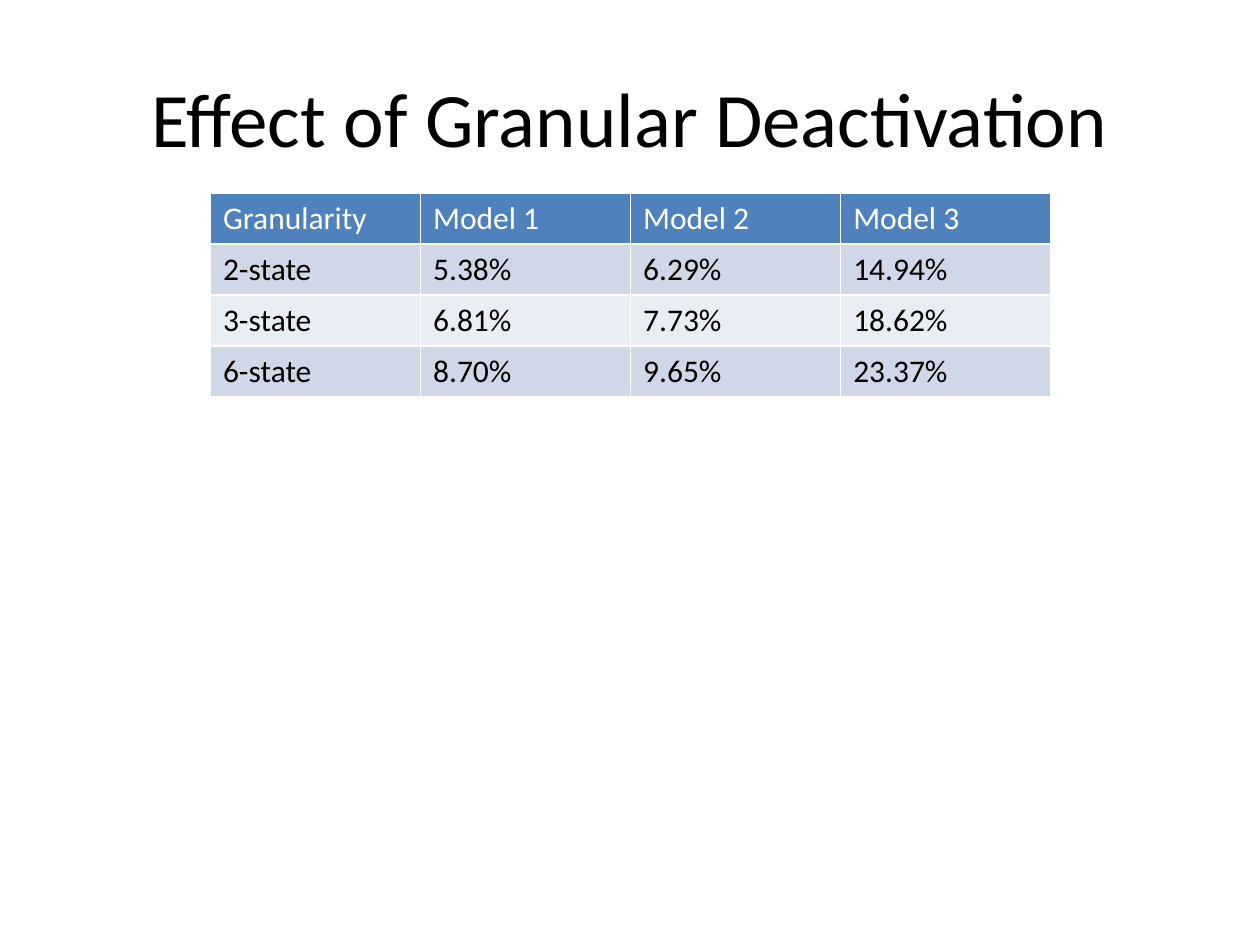
from pptx import Presentation
from pptx.dml.color import RGBColor
from pptx.enum import text
from pptx.util import Inches, Pt

BLACK = RGBColor(0x00, 0x00, 0x00)
WHITE = RGBColor(0xFF, 0xFF, 0xFF)
BLUE = RGBColor(0x4F, 0x81, 0xBD)
BANDS = [RGBColor(0xE9, 0xED, 0xF4), RGBColor(0xD0, 0xD8, 0xE8)]

ROWS = [
    ["Granularity", "Model 1", "Model 2", "Model 3"],
    ["2-state", "5.38%", "6.29%", "14.94%"],
    ["3-state", "6.81%", "7.73%", "18.62%"],
    ["6-state", "8.70%", "9.65%", "23.37%"],
]


def write(tf, content, size=18, color=BLACK, align=text.PP_ALIGN.LEFT):
    p = tf.paragraphs[0]
    p.alignment = align
    r = p.add_run()
    r.text = content
    r.font.name = "Calibri"
    r.font.size = Pt(size)
    r.font.bold = False
    r.font.color.rgb = color


prs = Presentation()
prs.slide_width = Inches(10)
prs.slide_height = Inches(7.5)
s = prs.slides.add_slide(prs.slide_layouts[6])

title = s.shapes.add_textbox(Inches(0.5), Inches(0.3), Inches(9), Inches(1.25))
tf = title.text_frame
tf.word_wrap = True
tf.vertical_anchor = text.MSO_ANCHOR.MIDDLE
write(tf, "Effect of Granular Deactivation", size=44, align=text.PP_ALIGN.CENTER)

table = s.shapes.add_table(
    len(ROWS), len(ROWS[0]), Inches(1.67), Inches(1.53), Inches(6.67), Inches(1.62)
).table
for i, row in enumerate(ROWS):
    for j, value in enumerate(row):
        cell = table.cell(i, j)
        cell.fill.solid()
        cell.fill.fore_color.rgb = BANDS[i % 2] if i else BLUE
        write(cell.text_frame, value, color=BLACK if i else WHITE)

prs.save("out.pptx")
